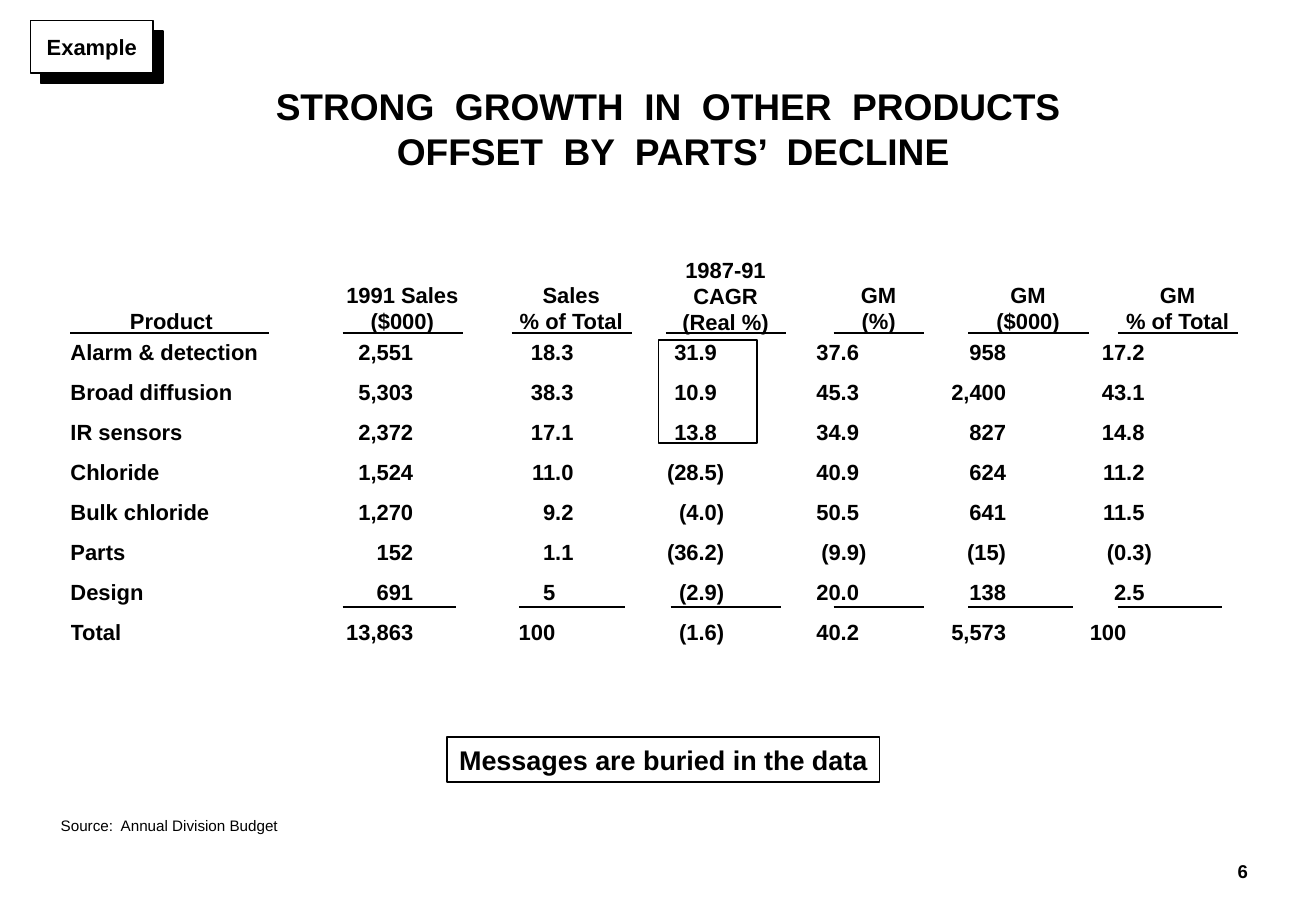
from lxml import etree
from pptx import Presentation
from pptx.enum import shapes, text
from pptx.dml.color import RGBColor
from pptx.oxml.ns import qn
from pptx.util import Inches, Pt

COLORS = {"ink": "000000", "paper": "FFFFFF"}
FONT = "Arial"
BODY_SIZE = 13

TITLE = "STRONG  GROWTH  IN  OTHER  PRODUCTS \nOFFSET  BY  PARTS’  DECLINE"
# heading, line count, left of its box, box width, underline start and end
HEADINGS = [
    ("Product", 1, 0.56, 1.7, 0.58, 2.21),
    ("1991 Sales\n($000)", 2, 2.65, 1.32, 2.82, 3.81),
    ("Sales\n% of Total", 2, 4.04, 1.32, 4.21, 5.2),
    ("1987-91 CAGR\n(Real %)", 3, 5.31, 1.32, 5.48, 6.47),
    ("GM\n(%)", 2, 6.57, 1.32, 6.86, 7.6),
    ("GM\n($000)", 2, 7.8, 1.32, 7.97, 8.96),
    ("GM\n% of Total", 2, 9.03, 1.32, 9.2, 10.19),
]
PRODUCTS = [
    ("Alarm & detection", "2,551", "18.3", "31.9", "37.6", "958", "17.2"),
    ("Broad diffusion", "5,303", "38.3", "10.9", "45.3", "2,400", "43.1"),
    ("IR sensors", "2,372", "17.1", "13.8", "34.9", "827", "14.8"),
    ("Chloride", "1,524", "11.0", "(28.5)", "40.9", "624", "11.2"),
    ("Bulk chloride", "1,270", "9.2", "(4.0)", "50.5", "641", "11.5"),
    ("Parts", "152", "1.1", "(36.2)", "(9.9)", "(15)", "(0.3)"),
    ("Design", "691", "5", "(2.9)", "20.0", "138", "2.5"),
    ("Total", "13,863", "100", "(1.6)", "40.2", "5,573", "100"),
]
TOTAL_RULES = [(2.82, 3.75), (4.27, 5.14), (5.52, 6.43),
               (6.86, 7.6), (7.97, 8.83), (9.2, 10.06)]

HEADING_BOTTOM, HEADING_LINE = 2.8, 0.21
HEADING_RULE_Y, TOTAL_RULE_Y = 2.74, 5
TABLE_LEFT, TABLE_TOP, ROW_HEIGHT = 0.58, 2.74, 0.33
DECIMAL_POINTS = [3.4, 4.57, 5.75, 6.92, 8.28, 9.27]
COLUMN_OVERHANG = 0.3
FIRST_COLUMN_RIGHT = 2.5
DECIMAL_WIDTH, PAREN_WIDTH = 0.15, 0.06

ALIGN = text.PP_ALIGN
ANCHOR = text.MSO_ANCHOR


def color(name):
    return RGBColor.from_string(COLORS[name])


def write(frame, words, size=BODY_SIZE, bold=True, align=ALIGN.LEFT):
    paragraph = frame.paragraphs[0]
    paragraph.alignment = align
    for number, line in enumerate(words.split("\n")):
        if number:
            paragraph.add_line_break()
        run = paragraph.add_run()
        run.text = line
        run.font.name, run.font.size, run.font.bold = FONT, Pt(size), bold
        run.font.color.rgb = color("ink")
    return paragraph


def set_frame(frame, inset_x, inset_y, anchor=ANCHOR.TOP, wrap=True):
    frame.auto_size = text.MSO_AUTO_SIZE.NONE
    frame.word_wrap = wrap
    frame.vertical_anchor = anchor
    frame.margin_left = frame.margin_right = Inches(inset_x)
    frame.margin_top = frame.margin_bottom = Inches(inset_y)


def add_label(slide, place, words, insets=(0.09, 0.05), **style):
    frame = slide.shapes.add_textbox(*map(Inches, place)).text_frame
    set_frame(frame, *insets)
    return write(frame, words, **style)


def add_box(slide, place, words="", size=BODY_SIZE, filled=False):
    box = slide.shapes.add_shape(shapes.MSO_SHAPE.RECTANGLE, *map(Inches, place))
    box.shadow.inherit = False
    if filled:
        box.fill.solid()
        box.fill.fore_color.rgb = color("paper")
    else:
        box.fill.background()
    box.line.color.rgb = color("ink")
    box.line.width = Pt(1)
    if words:
        set_frame(box.text_frame, 0.09, 0.05, ANCHOR.MIDDLE, wrap=False)
        write(box.text_frame, words, size, align=ALIGN.CENTER)
    return box


def add_hard_shadow(box):
    effects = box._element.spPr.find(qn("a:effectLst"))
    shadow = etree.SubElement(effects, qn("a:outerShdw"), blurRad="0",
                              dist=str(Pt(8.5)), dir=str(45 * 60000),
                              algn="ctr", rotWithShape="0")
    etree.SubElement(shadow, qn("a:srgbClr"), val=COLORS["ink"])


def add_rule(slide, start, end, y):
    rule = slide.shapes.add_connector(shapes.MSO_CONNECTOR.STRAIGHT,
                                      *map(Inches, (start, y, end, y)))
    rule.line.color.rgb = color("ink")
    rule.line.width = Pt(1)
    etree.SubElement(rule._element.spPr, qn("a:effectLst"))


def tail_width(value):
    """Width of what stands to the right of the decimal position."""
    if "." not in value:
        return 0
    return DECIMAL_WIDTH + PAREN_WIDTH * value.endswith(")")


def add_products(slide):
    rights = [FIRST_COLUMN_RIGHT] + [x + COLUMN_OVERHANG for x in DECIMAL_POINTS]
    lefts = [TABLE_LEFT] + rights[:-1]
    place = (TABLE_LEFT, TABLE_TOP, rights[-1] - TABLE_LEFT,
             ROW_HEIGHT * len(PRODUCTS))
    table = slide.shapes.add_table(len(PRODUCTS), len(rights),
                                   *map(Inches, place)).table
    table.first_row = table.horz_banding = False
    for column, left, right in zip(table.columns, lefts, rights):
        column.width = Inches(right - left)
    for row, product in zip(table.rows, PRODUCTS):
        row.height = Inches(ROW_HEIGHT)
        for number, (cell, value) in enumerate(zip(row.cells, product)):
            cell.fill.background()
            cell.vertical_anchor = ANCHOR.MIDDLE
            cell.margin_left = cell.margin_top = cell.margin_bottom = 0
            cell.margin_right = Inches(
                COLUMN_OVERHANG - tail_width(value) if number else 0)
            write(cell.text_frame, value,
                  align=ALIGN.RIGHT if number else ALIGN.LEFT)


def main():
    deck = Presentation()
    deck.slide_width, deck.slide_height = Inches(10.83), Inches(7.5)
    slide = deck.slides.add_slide(deck.slide_layouts[5])

    title = slide.shapes.title
    title.left, title.top, title.width, title.height = map(
        Inches, (1.58, 0.67, 7.92, 0.77))
    set_frame(title.text_frame, 0.05, 0.02)
    write(title.text_frame, TITLE, 22, align=ALIGN.CENTER)

    add_products(slide)
    for heading, lines, left, width, start, end in HEADINGS:
        height = lines * HEADING_LINE + 0.11
        add_label(slide, (left, HEADING_BOTTOM - height, width, height),
                  heading, align=ALIGN.CENTER)
        add_rule(slide, start, end, HEADING_RULE_Y)
    for start, end in TOTAL_RULES:
        add_rule(slide, start, end, TOTAL_RULE_Y)

    add_box(slide, (5.42, 2.8, 0.81, 0.85))
    add_box(slide, (3.68, 6.07, 3.56, 0.37), "Messages are buried in the data", 16)
    add_hard_shadow(add_box(slide, (0.25, 0.17, 1.01, 0.43), "Example", filled=True))
    add_label(slide, (0.41, 6.7, 2.1, 0.19), "Source:  Annual Division Budget",
              (0.09, 0.02), size=9, bold=False)
    page = add_label(slide, (9.61, 7.03, 0.71, 0.25), "6", (0.05, 0.02),
                     size=11, align=ALIGN.RIGHT)
    page.line_spacing = 1.15
    deck.save("out.pptx")


if __name__ == "__main__":
    main()
